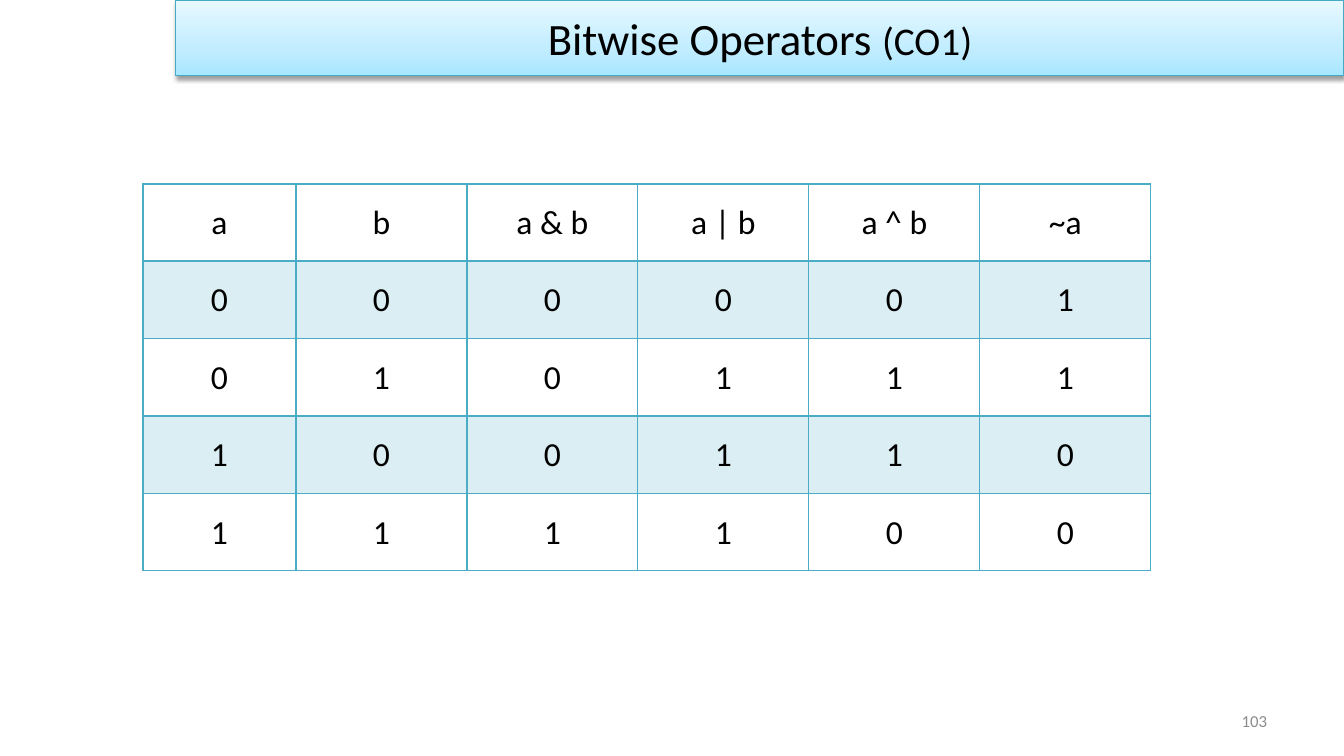
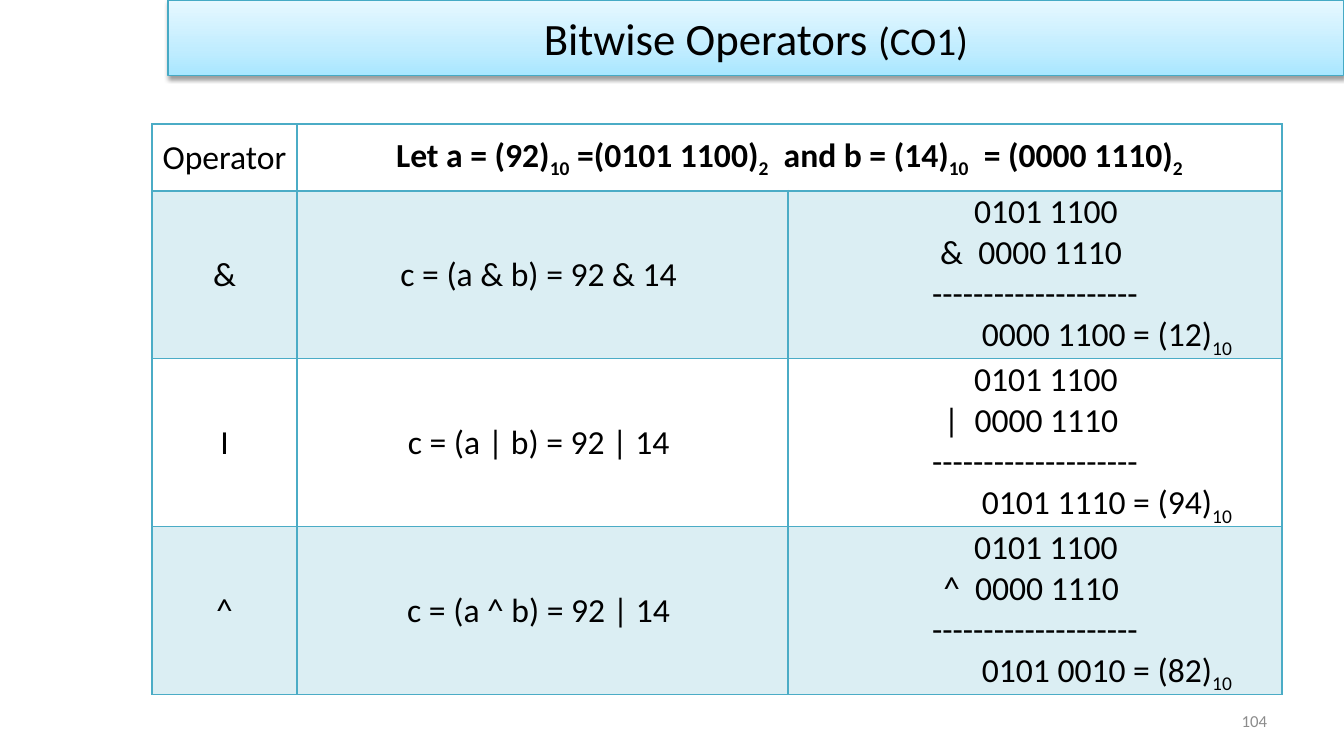
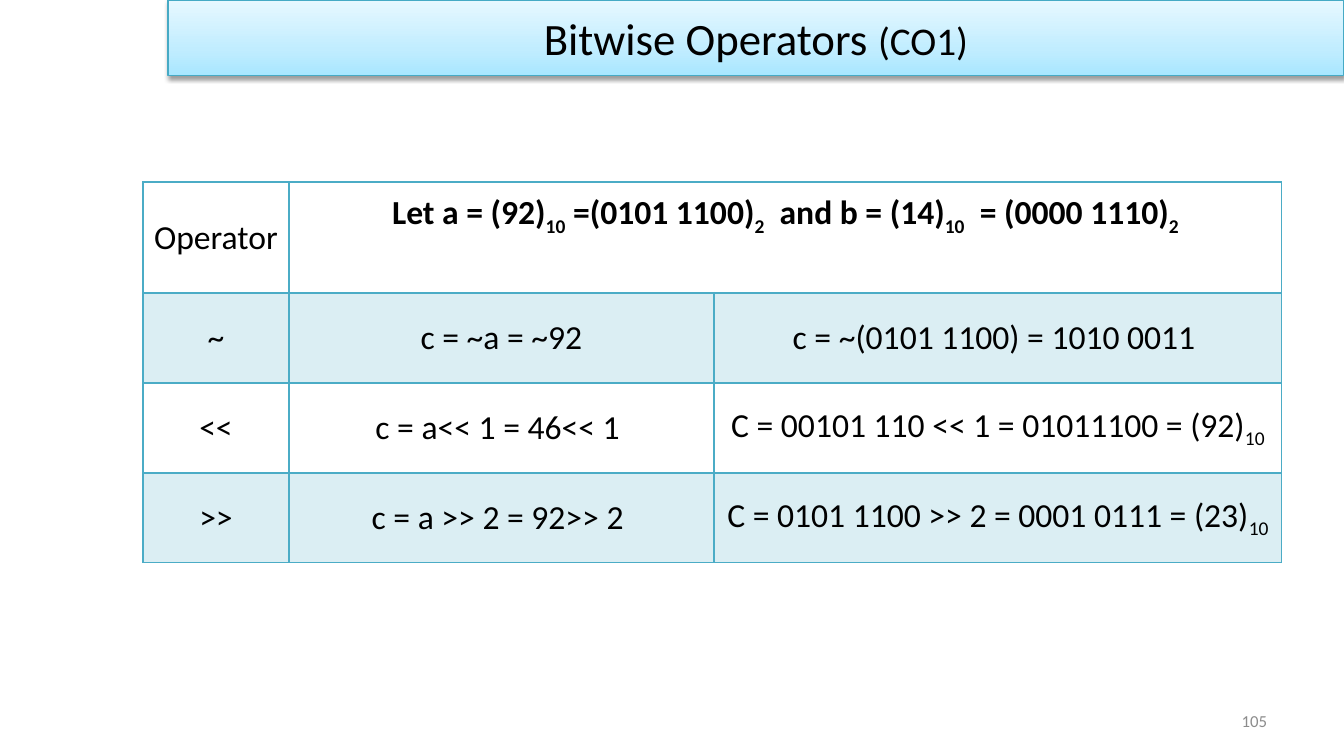
"""Build three slides on bitwise operators, each with a title band and a table."""
from pptx import Presentation
from pptx import util as u
from pptx.dml.color import RGBColor
from pptx.enum import shapes, text
from pptx.oxml import parse_xml
from pptx.oxml.ns import nsdecls, qn

SLIDE_SIZE = (1344, 756)
FONT = "Calibri"
BLACK, GREY, TEAL, BAND_LINE = "000000", "8C8C8C", "4BACC6", "46AAC5"
BAND_STOPS = [(0, "A7E6FF"), (35, "C1EDFF"), (100, "E7F8FF")]
BAND_HEIGHT = 76
TITLE = [("Bitwise Operators ", 32), ("(CO1)", 28)]
NUMBER_BOX = (964, 701, 313, 40)
FIRST_NUMBER = 103

VALUES = "Let a = (92)_10_ =(0101 1100)_2_  and b = (14)_10_  = (0000 1110)_2"


def working(sign, result):
    """Return the lines of a column calculation as (text, indent) pairs."""
    return [("0101 1100", 22), (f"{sign}  0000 1110 ", 0), ("-" * 20, 0), (f"{result}_10", 144)]


SLIDES = [
    {
        "band_left": 176, "left": 143, "top": 184, "height": 387,
        "header_height": 77, "header_gap": 0,
        "columns": [153] + [171] * 5,
        "rows": [
            ["a", "b", "a & b", "a | b", "a ^ b", "~a"],
            ["0", "0", "0", "0", "0", "1"],
            ["0", "1", "0", "1", "1", "1"],
            ["1", "0", "0", "1", "1", "0"],
            ["1", "1", "1", "1", "0", "0"],
        ],
    },
    {
        "band_left": 168, "left": 152, "top": 124, "height": 556,
        "header_height": 67, "header_gap": 0,
        "columns": [145, 491, 494],
        "rows": [
            ["Operator", VALUES],
            ["&", "c = (a & b) = 92 & 14 ", working("&", "0000 1100 = (12)")],
            ["I", "c = (a | b) = 92 | 14 ", working("|", "0101 1110 = (94)")],
            ["^", "c = (a ^ b) = 92 | 14 ", working("^", "0101 0010 = (82)")],
        ],
    },
    {
        "band_left": 168, "left": 143, "top": 182, "height": 381,
        "header_height": 111, "header_gap": 45,
        "columns": [146, 425, 568],
        "rows": [
            ["Operator", VALUES],
            ["~", "c = ~a = ~92", "c = ~(0101 1100) = 1010 0011 "],
            ["<<", "c = a<< 1 = 46<< 1 ", "C = 00101 110 << 1 = 01011100 = (92)_10"],
            [">>", "c = a >> 2 = 92>> 2 ", "C = 0101 1100 >> 2 = 0001 0111 = (23)_10"],
        ],
    },
]


def px(length):
    """Convert pixels to EMU."""
    return u.Emu(round(length * 914400 / 100.8))


def rgb(value):
    """Convert a hex string to a colour."""
    return RGBColor.from_string(value)


def style(paragraph, size, colour, align, bold=False):
    """Set the font and alignment of a paragraph."""
    font = paragraph.font
    font.name, font.size, font.bold = FONT, u.Pt(size), bold
    font.color.rgb = rgb(colour)
    paragraph.alignment = align


def add_band(slide, left):
    """Add the shaded title band, which runs to the right edge."""
    band = slide.shapes.add_shape(shapes.MSO_SHAPE.RECTANGLE, px(left), 0,
                                  px(SLIDE_SIZE[0] - left), px(BAND_HEIGHT))
    band.fill.gradient()
    band.fill.gradient_angle = 90
    properties = band._element.spPr
    stops = properties.find(".//" + qn("a:gsLst"))
    stops.clear()
    for position, colour in BAND_STOPS:
        stops.append(parse_xml(f'<a:gs {nsdecls("a")} pos="{position * 1000}">'
                               f'<a:srgbClr val="{colour}"/></a:gs>'))
    band.line.color.rgb, band.line.width = rgb(BAND_LINE), u.Pt(0.75)
    band.shadow.inherit = False
    properties.find(qn("a:effectLst")).append(parse_xml(
        f'<a:outerShdw {nsdecls("a")} blurRad="40000" dist="20000" dir="5400000" rotWithShape="0">'
        f'<a:srgbClr val="{BLACK}"><a:alpha val="38000"/></a:srgbClr></a:outerShdw>'))
    band.text_frame.vertical_anchor = text.MSO_ANCHOR.MIDDLE
    paragraph = band.text_frame.paragraphs[0]
    style(paragraph, 32, BLACK, text.PP_ALIGN.CENTER)
    for words, size in TITLE:
        run = paragraph.add_run()
        run.text, run.font.size = words, u.Pt(size)


def add_number(slide, number):
    """Add the slide number at the lower right."""
    frame = slide.shapes.add_textbox(*map(px, NUMBER_BOX)).text_frame
    frame.word_wrap = True
    frame.vertical_anchor = text.MSO_ANCHOR.MIDDLE
    frame.text = str(number)
    style(frame.paragraphs[0], 12, GREY, text.PP_ALIGN.RIGHT)


def write_line(paragraph, line, indent, bold):
    """Write a line in which every second part between underscores is a subscript."""
    style(paragraph, 24, BLACK, text.PP_ALIGN.CENTER, bold)
    if indent:
        paragraph._p.get_or_add_pPr().set("marL", str(px(indent)))
    for index, part in enumerate(line.split("_")):
        run = paragraph.add_run()
        run.text = part
        if index % 2:
            run._r.get_or_add_rPr().set("baseline", "-25000")


def write_cell(cell, content, bold):
    """Write one line or a list of indented lines into a cell."""
    lines = [(content, 0)] if isinstance(content, str) else content
    frame = cell.text_frame
    for index, (line, indent) in enumerate(lines):
        paragraph = frame.add_paragraph() if index else frame.paragraphs[0]
        write_line(paragraph, line, indent, bold)


def format_cell(cell, row):
    """Set the margins, borders and banded fill of a cell."""
    cell.vertical_anchor = text.MSO_ANCHOR.MIDDLE
    cell.margin_left = cell.margin_right = cell.margin_top = px(1)
    cell.margin_bottom = 0
    properties = cell._tc.get_or_add_tcPr()
    widths = {"L": 1, "R": 1, "T": 2 if row == 1 else 1, "B": 2 if row == 0 else 1}
    for side, width in widths.items():
        properties.append(parse_xml(
            f'<a:ln{side} {nsdecls("a")} w="{u.Pt(width)}"><a:solidFill>'
            f'<a:srgbClr val="{TEAL}"/></a:solidFill></a:ln{side}>'))
    if row % 2:
        cell.fill.solid()
        cell.fill.fore_color.rgb = rgb(TEAL)
        colour = properties.find(qn("a:solidFill")).find(qn("a:srgbClr"))
        colour.append(parse_xml(f'<a:alpha {nsdecls("a")} val="20000"/>'))
    else:
        cell.fill.background()


def add_table(slide, content):
    """Add the table; a short header row spans its last cell to the right edge."""
    rows, columns = content["rows"], content["columns"]
    header_height = content["header_height"]
    body_height = (content["height"] - header_height) / (len(rows) - 1)
    table = slide.shapes.add_table(
        len(rows), len(columns), px(content["left"]), px(content["top"]),
        px(sum(columns)), px(content["height"])).table
    table.first_row = table.horz_banding = False
    for column, width in zip(table.columns, columns):
        column.width = px(width)
    for row, values in enumerate(rows):
        table.rows[row].height = px(body_height if row else header_height)
        for cell in table.rows[row].cells:
            format_cell(cell, row)
        for column, value in enumerate(values):
            write_cell(table.cell(row, column), value, value == VALUES)
    last = len(rows[0]) - 1
    if last < len(columns) - 1:
        heading = table.cell(0, last)
        heading.merge(table.cell(0, len(columns) - 1))
        heading.margin_bottom = px(content["header_gap"])


def main():
    """Build and save the presentation."""
    presentation = Presentation()
    presentation.slide_width, presentation.slide_height = map(px, SLIDE_SIZE)
    for number, content in enumerate(SLIDES, FIRST_NUMBER):
        slide = presentation.slides.add_slide(presentation.slide_layouts[6])
        add_number(slide, number)
        add_band(slide, content["band_left"])
        add_table(slide, content)
    presentation.save("out.pptx")


if __name__ == "__main__":
    main()
